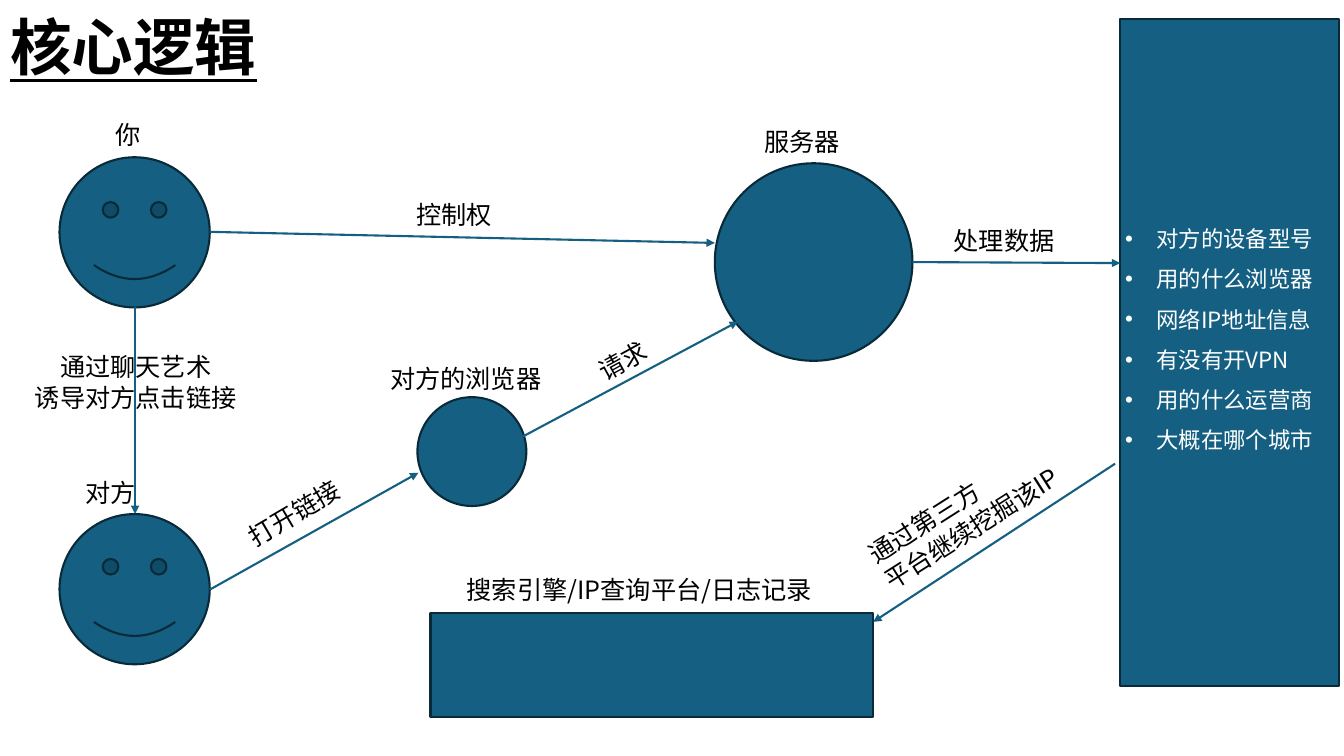
from lxml import etree
from pptx import Presentation
from pptx.dml.color import RGBColor
from pptx.enum.shapes import MSO_CONNECTOR, MSO_SHAPE
from pptx.enum.text import MSO_ANCHOR, MSO_AUTO_SIZE, PP_ALIGN
from pptx.oxml.ns import qn
from pptx.util import Inches, Pt

SMILEY, CIRCLE, RECT = MSO_SHAPE.SMILEY_FACE, MSO_SHAPE.OVAL, MSO_SHAPE.RECTANGLE
STRAIGHT = MSO_CONNECTOR.STRAIGHT
LEFT, CENTER = PP_ALIGN.LEFT, PP_ALIGN.CENTER
TOP, MIDDLE = MSO_ANCHOR.TOP, MSO_ANCHOR.MIDDLE
NO_AUTOFIT = MSO_AUTO_SIZE.NONE

TEAL = RGBColor(0x15, 0x60, 0x82)
OUTLINE = RGBColor(0x09, 0x2A, 0x39)
BLACK = RGBColor(0, 0, 0)
WHITE = RGBColor(255, 255, 255)
FONT = "Noto Sans CJK SC"
LINE_WIDTH = Pt(1.5)
INDENT = 0.31

TITLE = "核心逻辑"
TITLE_BOX = (0, -0.22, 11.5, 1.45)
FINDINGS = [
    "对方的设备型号",
    "用的什么浏览器",
    "网络IP地址信息",
    "有没有开VPN",
    "用的什么运营商",
    "大概在哪个城市",
]
FINDINGS_BOX = (11.06, 2.05, 2.27, 2.48)

NODES = [
    (SMILEY, (0.59, 1.56, 1.49, 1.49)),
    (SMILEY, (0.59, 5.1, 1.49, 1.49)),
    (CIRCLE, (7.09, 1.62, 1.96, 1.96)),
    (CIRCLE, (4.14, 3.94, 1.08, 1.08)),
    (RECT, (11.11, 0.19, 2.17, 6.62)),
    (RECT, (4.27, 6.08, 4.39, 1.03)),
]
ARROWS = [
    ((1.34, 3.05), (1.34, 5.1)),
    ((2.08, 5.85), (4.15, 4.69)),
    ((5.15, 4.35), (7.32, 3.19)),
    ((2.08, 2.3), (7.09, 2.41)),
    ((9.05, 2.6), (11.11, 2.61)),
    ((11.06, 4.6), (8.66, 6.17)),
]
LABELS = [
    (["通过聊天艺术", "诱导对方点击链接"], (0.17, 3.44, 2.35, 0.71), 0, CENTER),
    (["你"], (1.05, 1.13, 1.19, 0.4), 0, LEFT),
    (["对方"], (0.75, 4.69, 1.19, 0.4), 0, LEFT),
    (["服务器"], (7.48, 1.2, 1.19, 0.4), 0, LEFT),
    (["对方的浏览器"], (3.77, 3.56, 1.82, 0.4), 0, LEFT),
    (["打开链接"], (2.3, 4.82, 1.47, 0.4), 329.7, LEFT),
    (["请求"], (5.82, 3.36, 0.77, 0.4), 331.1, LEFT),
    (["控制权"], (4.03, 1.93, 0.95, 0.4), 0, LEFT),
    (["处理数据"], (9.36, 2.19, 1.7, 0.4), 0, LEFT),
    (["通过第三方", "平台继续挖掘该IP"], (8.46, 4.74, 2.26, 0.71), 327.4, LEFT),
    (["搜索引擎/IP查询平台/日志记录"], (4.53, 5.65, 4.54, 0.4), 0, LEFT),
]

TITLE_FONT = {"size": Pt(44), "bold": True, "underline": True}
LABEL_FONT = {"size": Pt(18)}
FINDINGS_FONT = {"size": Pt(16)}


def place(shape, box):
    for side, length in zip(("left", "top", "width", "height"), box):
        setattr(shape, side, Inches(length))


def add_bullet(paragraph):
    properties = paragraph._p.get_or_add_pPr()
    properties.set("marL", str(Inches(INDENT)))
    properties.set("indent", str(-Inches(INDENT)))
    etree.SubElement(properties, qn("a:buFont"), typeface="Arial")
    etree.SubElement(properties, qn("a:buChar"), char="•")


def write(shape, lines, font, color, anchor=TOP, align=LEFT, spacing=1.0, bullets=False):
    frame = shape.text_frame
    frame.word_wrap = True
    frame.auto_size = NO_AUTOFIT
    frame.vertical_anchor = anchor
    for index, line in enumerate(lines):
        paragraph = frame.paragraphs[0] if index == 0 else frame.add_paragraph()
        if bullets:
            add_bullet(paragraph)
        paragraph.alignment = align
        paragraph.line_spacing = spacing
        paragraph.space_before = Pt(0)
        run = paragraph.add_run()
        run.text = line
        for key, value in {"name": FONT, **font}.items():
            setattr(run.font, key, value)
        run.font.color.rgb = color
        east_asian = etree.SubElement(run.font._element, qn("a:ea"))
        east_asian.set("typeface", FONT)


def add_node(slide, kind, box):
    node = slide.shapes.add_shape(kind, *map(Inches, box))
    node.shadow.inherit = False
    node.fill.solid()
    node.fill.fore_color.rgb = TEAL
    node.line.color.rgb = OUTLINE
    node.line.width = LINE_WIDTH


def add_arrow(slide, start, end):
    arrow = slide.shapes.add_connector(STRAIGHT, *map(Inches, start + end))
    arrow.line.color.rgb = TEAL
    arrow.line.width = LINE_WIDTH
    etree.SubElement(arrow.line._get_or_add_ln(), qn("a:tailEnd"), type="triangle")
    etree.SubElement(arrow.element.spPr, qn("a:effectLst"))


def main():
    deck = Presentation()
    deck.slide_width, deck.slide_height = Inches(13.33), Inches(7.5)
    slide = deck.slides.add_slide(deck.slide_layouts[1])

    title = slide.shapes.title
    place(title, TITLE_BOX)
    write(title, [TITLE], TITLE_FONT, BLACK, anchor=MIDDLE, spacing=0.9)

    for kind, box in NODES:
        add_node(slide, kind, box)
    for start, end in ARROWS:
        add_arrow(slide, start, end)
    for lines, box, rotation, align in LABELS:
        label = slide.shapes.add_textbox(*map(Inches, box))
        label.rotation = rotation
        write(label, lines, LABEL_FONT, BLACK, align=align)

    findings = slide.placeholders[1]
    place(findings, FINDINGS_BOX)
    write(findings, FINDINGS, FINDINGS_FONT, WHITE, spacing=1.5, bullets=True)
    slide.shapes.element.append(findings.element)

    deck.save("out.pptx")


if __name__ == "__main__":
    main()
